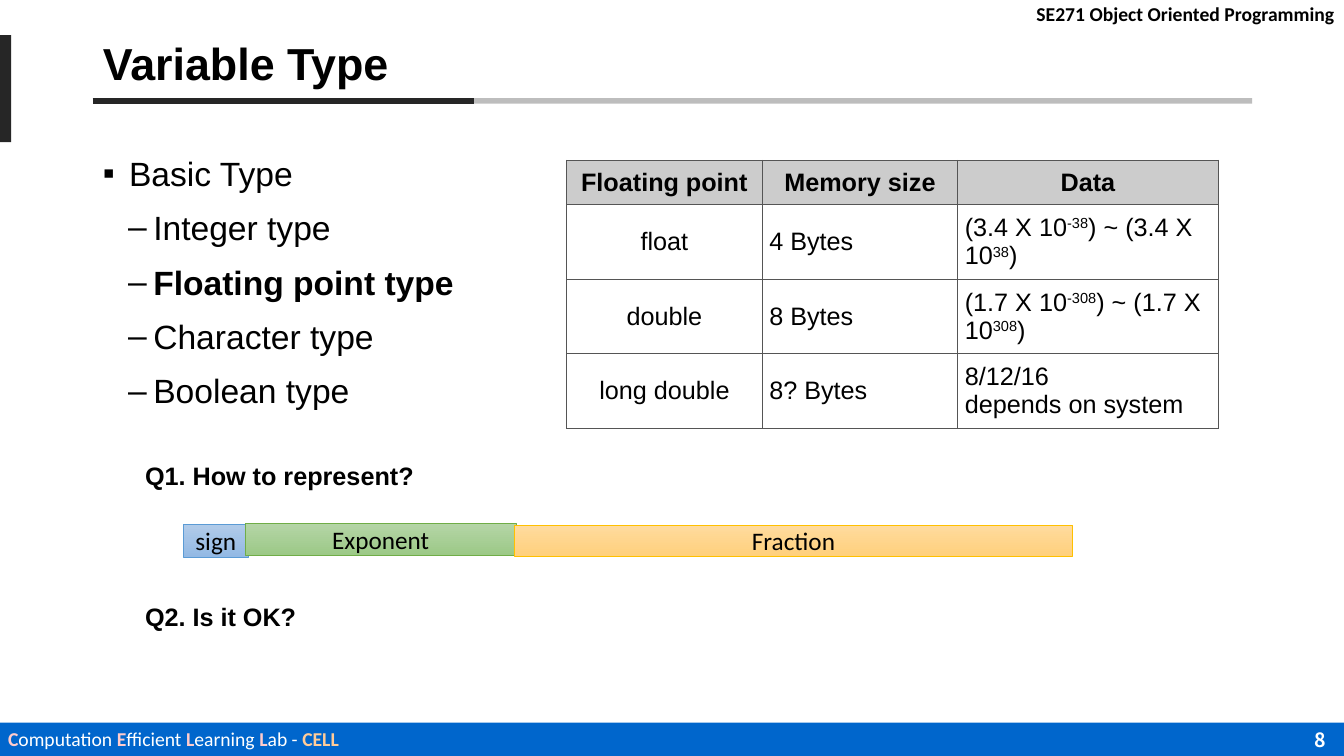
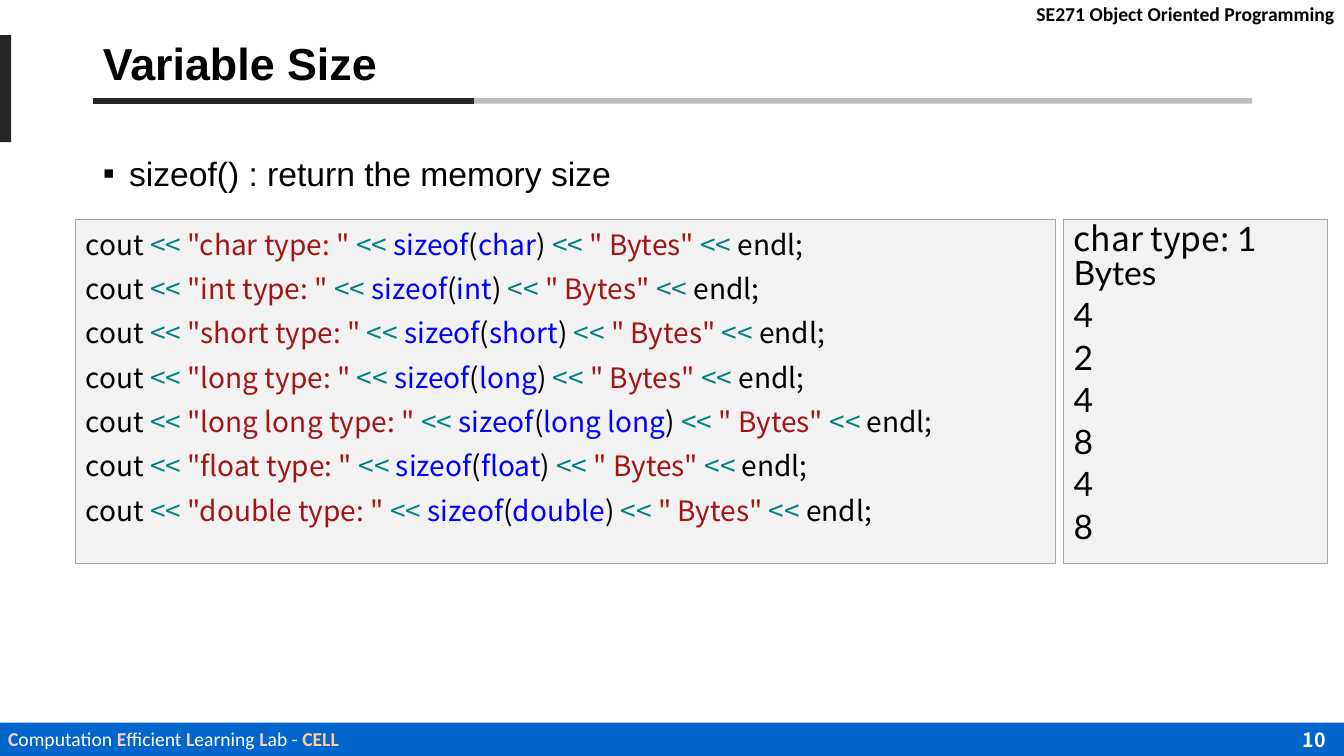
"""Build two lecture slides on C++ variable types and their sizes."""
from pptx import Presentation
from pptx.dml.color import RGBColor
from pptx.enum.shapes import MSO_CONNECTOR, MSO_SHAPE
from pptx.enum.text import MSO_ANCHOR, MSO_AUTO_SIZE, PP_ALIGN
from pptx.oxml.ns import qn
from pptx.util import Inches, Pt
from lxml import etree

RECT = MSO_SHAPE.RECTANGLE
STRAIGHT = MSO_CONNECTOR.STRAIGHT
TOP, MIDDLE, BOTTOM = MSO_ANCHOR.TOP, MSO_ANCHOR.MIDDLE, MSO_ANCHOR.BOTTOM
NO_FIT = MSO_AUTO_SIZE.NONE
LEFT, CENTER, RIGHT = PP_ALIGN.LEFT, PP_ALIGN.CENTER, PP_ALIGN.RIGHT


class Theme:
    """Colours, fonts and type sizes."""
    black, white, dark = "000000", "FFFFFF", "262626"
    band, initial, lab = "0066CC", "FFCCCC", "FFCC99"
    grid, header = "555555", "CCCCCC"
    panel, panel_line = "F2F2F2", "A6A6A6"
    operator, string, keyword = "008080", "A31515", "0000FF"
    sans, label, code, result = "Arial", "Calibri", "Noto Sans CJK KR", "Lato"
    title_size, body_size, code_size, text_size, small = 32, 24, 20, 18, 14


COURSE = "SE271 Object Oriented Programming"
FOOTER = [("C", "omputation "), ("E", "fficient "), ("L", "earning "), ("L", "ab - ")]
LAB = "CELL"

TYPE_TITLE, TYPE_PAGE = "Variable Type", 8
TYPE_LIST = [
    (0, "Basic Type", False),
    (1, "Integer type", False),
    (1, "Floating point type", True),
    (1, "Character type", False),
    (1, "Boolean type", False),
]
BULLETS = [("▪", 0.26, 0.26), ("–", 0.5, 0.25)]
FLOAT_TABLE = [
    ("Floating point", "Memory size", "Data"),
    ("float", "4 Bytes", "(3.4 X 10^-38^) ~ (3.4 X 10^38^)"),
    ("double", "8 Bytes", "(1.7 X 10^-308^) ~ (1.7 X 10^308^)"),
    ("long double", "8? Bytes", "8/12/16\ndepends on system"),
]
COLUMN_WIDTHS = (1.94, 1.94, 2.58)
ROW_HEIGHTS = (0.43, 0.7, 0.7, 0.7)
QUESTIONS = [("Q1. How to represent?", 4.52, 2.89), ("Q2. Is it OK?", 5.92, 1.72)]
BIT_FIELDS = [
    ("sign", (1.82, 5.2, 0.64, 0.33), "B1CBE9", "93B9E4", "5B9BD5"),
    ("Exponent", (2.43, 5.19, 2.69, 0.32), "B5D5A7", "9CC987", "70AD47"),
    ("Fraction", (5.1, 5.21, 5.54, 0.31), "FFDB9E", "FFD07C", "FFC000"),
]

SIZE_TITLE, SIZE_PAGE = "Variable Size", 10
SIZE_LIST = [(0, "sizeof() : return the memory size", False)]
TYPE_NAMES = ["char", "int", "short", "long", "long long", "float", "double"]
FIRST_RESULT = ("char type: ", "1 Bytes")
OTHER_RESULTS = ["4", "2", "4", "8", "4", "8"]


def rgb(color):
    return RGBColor.from_string(color)


def add_run(p, text, size, font=Theme.sans, color=Theme.black, bold=False):
    r = p.add_run()
    r.text = text
    r.font.size, r.font.name, r.font.bold = Pt(size), font, bold
    r.font.color.rgb = rgb(color)
    return r


def add_paragraph(tf, index, spacing=None, before=None, align=LEFT):
    p = tf.add_paragraph() if index else tf.paragraphs[0]
    p.alignment = align
    if spacing:
        p.line_spacing = spacing
    if before:
        p.space_before = Pt(before)
    return p


def add_text(s, box, inset=True, wrap=True, anchor=TOP):
    tf = s.shapes.add_textbox(*map(Inches, box)).text_frame
    tf.word_wrap, tf.vertical_anchor = wrap, anchor
    if not inset:
        tf.margin_left = tf.margin_right = tf.margin_top = tf.margin_bottom = 0
    return tf


def add_rect(s, box, fill, line=None, width=0.5):
    sp = s.shapes.add_shape(RECT, *map(Inches, box))
    sp.shadow.inherit = False
    if isinstance(fill, tuple):
        sp.fill.gradient()
        sp.fill.gradient_angle = 270
        for stop, color in zip(sp.fill.gradient_stops, fill):
            stop.color.rgb = rgb(color)
    else:
        sp.fill.solid()
        sp.fill.fore_color.rgb = rgb(fill)
    if line:
        sp.line.color.rgb = rgb(line)
        sp.line.width = Pt(width)
    else:
        sp.line.fill.background()
    return sp


def add_rule(s, start, end, y, opacity=None):
    rule = s.shapes.add_connector(STRAIGHT, *map(Inches, (start, y, end, y)))
    rule.line.color.rgb = rgb(Theme.dark)
    rule.line.width = Pt(4)
    props = rule.element.spPr
    if opacity:
        color = props.find(".//" + qn("a:srgbClr"))
        etree.SubElement(color, qn("a:alpha"), val=str(opacity * 1000))
    etree.SubElement(props, qn("a:effectLst"))


def build_layout(layout, s):
    """Draw the shared parts on a slide and move them to its layout."""
    own = list(s.shapes)
    tf = add_text(s, (10.28, 0.02, 3.47, 0.25), inset=False)
    add_run(tf.paragraphs[0], COURSE, Theme.small, Theme.label, bold=True)
    add_rect(s, (0, 7.17, 13.33, 0.33), Theme.band)
    p = add_text(s, (0.08, 7.21, 4.5, 0.21), inset=False).paragraphs[0]
    for initial, rest in FOOTER:
        add_run(p, initial, Theme.small, Theme.label, Theme.initial, True)
        add_run(p, rest, Theme.small, Theme.label, Theme.white)
    add_run(p, LAB, Theme.small, Theme.label, Theme.lab, True)
    add_rule(s, 1.62, 12.42, 1, opacity=30)
    add_rule(s, 0.92, 4.7, 1)
    add_rect(s, (-0.01, 0.35, 0.12, 1.06), Theme.dark)
    for sp in list(s.shapes)[len(own):]:
        layout.shapes.element.append(sp.element)


def place(sp, box):
    sp.left, sp.top, sp.width, sp.height = map(Inches, box)


def fill_slide(s, title, items, page):
    """Write the title, the bullet list and the page number."""
    heading, body = s.shapes.title, s.placeholders[1]
    place(heading, (0.92, 0.35, 11.5, 0.6))
    place(body, (0.92, 1.41, 11.5, 5.35))
    for sp, anchor in ((heading, BOTTOM), (body, TOP)):
        sp.text_frame.auto_size = NO_FIT
        sp.text_frame.vertical_anchor = anchor
    p = add_paragraph(heading.text_frame, 0, 0.9)
    add_run(p, title, Theme.title_size, bold=True)
    for i, (level, text, bold) in enumerate(items):
        p = add_paragraph(body.text_frame, i, 1.14, 6)
        p.level = level
        add_run(p, text, Theme.body_size, bold=bold)
        char, margin, hang = BULLETS[level]
        props = p._p.get_or_add_pPr()
        props.set("marL", str(Inches(margin)))
        props.set("indent", str(-Inches(hang)))
        etree.SubElement(props, qn("a:buChar"), char=char)
    tf = add_text(s, (11.93, 7.18, 1.32, 0.31), anchor=MIDDLE)
    p = add_paragraph(tf, 0, align=RIGHT)
    add_run(p, str(page), Theme.small, Theme.code, Theme.white, True)


def set_borders(cell):
    props = cell._tc.get_or_add_tcPr()
    for side in ("lnL", "lnR", "lnT", "lnB"):
        line = etree.SubElement(props, qn("a:" + side), w=str(Pt(0.5)))
        fill = etree.SubElement(line, qn("a:solidFill"))
        etree.SubElement(fill, qn("a:srgbClr"), val=Theme.grid)


def fill_cell(cell, text, is_header, align):
    set_borders(cell)
    cell.fill.solid()
    cell.fill.fore_color.rgb = rgb(Theme.header if is_header else Theme.white)
    cell.vertical_anchor = MIDDLE
    cell.margin_left = cell.margin_right = Inches(0.07)
    cell.margin_top = cell.margin_bottom = Inches(0.07)
    for i, line in enumerate(text.split("\n")):
        p = add_paragraph(cell.text_frame, i, align=align)
        for j, part in enumerate(line.split("^")):
            r = add_run(p, part, Theme.text_size, bold=is_header)
            if j % 2:
                r.font._element.set("baseline", "30000")


def add_float_table(s):
    box = (5.62, 1.59, sum(COLUMN_WIDTHS), sum(ROW_HEIGHTS))
    table = s.shapes.add_table(len(FLOAT_TABLE), len(COLUMN_WIDTHS), *map(Inches, box)).table
    for column, width in zip(table.columns, COLUMN_WIDTHS):
        column.width = Inches(width)
    for row, height in zip(table.rows, ROW_HEIGHTS):
        row.height = Inches(height)
    for i, texts in enumerate(FLOAT_TABLE):
        for j, text in enumerate(texts):
            align = CENTER if i == 0 or j == 0 else LEFT
            fill_cell(table.cell(i, j), text, i == 0, align)


def add_panel(s, left, width):
    sp = add_rect(s, (left, 2.18, width, 3.41), Theme.panel, Theme.panel_line, 0.75)
    sp.text_frame.vertical_anchor = TOP
    return sp.text_frame


def code_line(name):
    shift = ("<< ", Theme.operator)
    return [
        ("cout ", Theme.black), shift, (f'"{name} type: " ', Theme.string), shift,
        ("sizeof", Theme.keyword), ("(", Theme.black), (name, Theme.keyword),
        (") ", Theme.black), shift, ('" Bytes" ', Theme.string), shift,
        ("endl;", Theme.black),
    ]


def build_type_slide(s):
    fill_slide(s, TYPE_TITLE, TYPE_LIST, TYPE_PAGE)
    add_float_table(s)
    for question, top, width in QUESTIONS:
        tf = add_text(s, (1.34, top, width, 0.4), wrap=False)
        add_run(tf.paragraphs[0], question, Theme.text_size, bold=True)
    for name, box, light, deep, line in BIT_FIELDS:
        tf = add_rect(s, box, (light, deep), line).text_frame
        tf.vertical_anchor = MIDDLE
        p = add_paragraph(tf, 0, align=CENTER)
        add_run(p, name, Theme.text_size, Theme.label)


def build_size_slide(s):
    fill_slide(s, SIZE_TITLE, SIZE_LIST, SIZE_PAGE)
    code = add_panel(s, 0.75, 9.72)
    for i, name in enumerate(TYPE_NAMES):
        p = add_paragraph(code, i, 1.07, 6)
        for text, color in code_line(name):
            add_run(p, text, Theme.code_size, Theme.code, color)
    output = add_panel(s, 10.55, 2.62)
    p = add_paragraph(output, 0, 0.84, 6)
    for text, font in zip(FIRST_RESULT, (Theme.code, Theme.result)):
        add_run(p, text, Theme.body_size, font)
    for i, value in enumerate(OTHER_RESULTS, 1):
        p = add_paragraph(output, i, 0.84, 6)
        add_run(p, value, Theme.body_size, Theme.result)


prs = Presentation()
prs.slide_width, prs.slide_height = Inches(13.33), Inches(7.5)
content_layout = prs.slide_layouts[1]
type_slide, size_slide = [prs.slides.add_slide(content_layout) for _ in range(2)]
build_layout(content_layout, type_slide)
build_type_slide(type_slide)
build_size_slide(size_slide)
prs.save("out.pptx")
